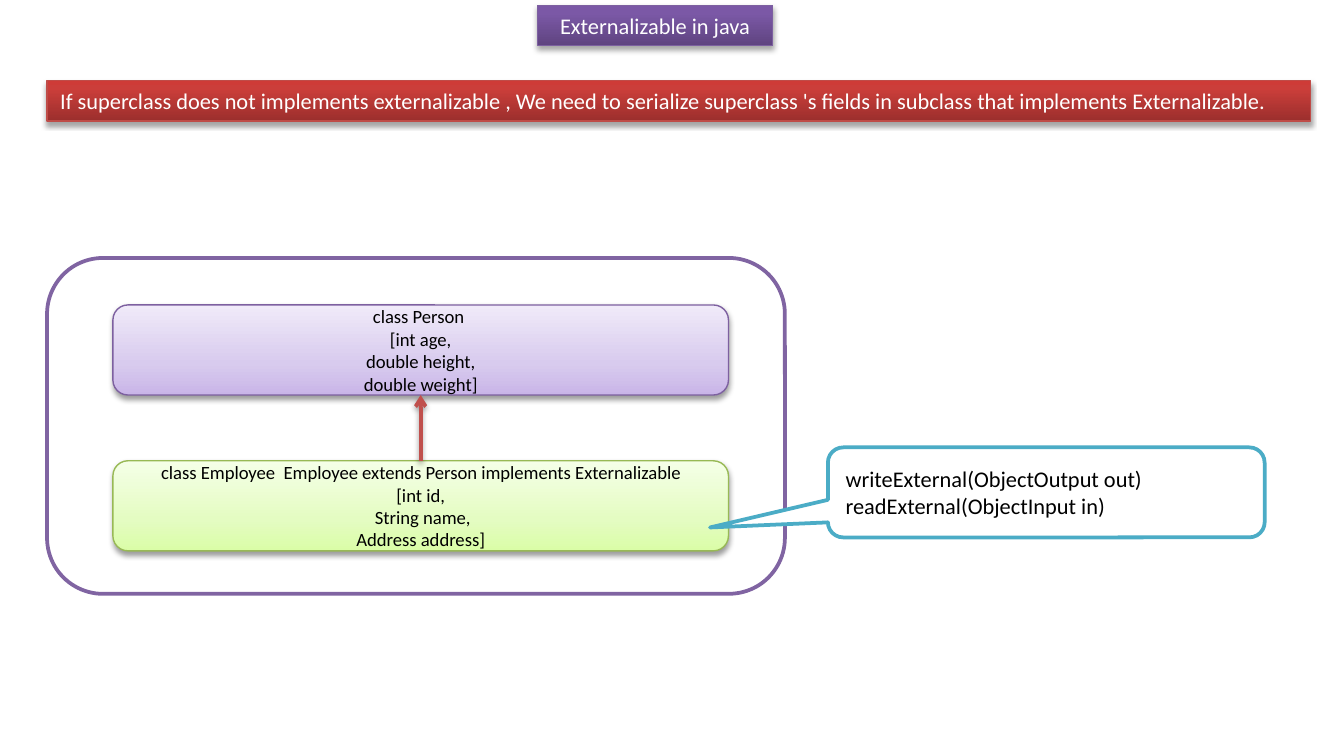
"""Build a slide on Externalizable when the superclass lacks it."""
from copy import deepcopy
from dataclasses import dataclass

from lxml.etree import SubElement as Sub
from pptx import Presentation
from pptx.dml.color import RGBColor as Color
from pptx.enum.shapes import MSO_CONNECTOR as Link, MSO_SHAPE as Kind
from pptx.enum.text import MSO_ANCHOR as Anchor, MSO_AUTO_SIZE as Fit, PP_ALIGN as Align
from pptx.oxml.ns import qn
from pptx.util import Inches, Pt


@dataclass(frozen=True)
class Theme:
    font: str = "Calibri"
    body: int = 12
    small: int = 10
    thin: float = 0.75
    thick: float = 2
    white: str = "FFFFFF"
    black: str = "000000"
    violet: str = "8064A2"
    red: str = "C0504D"
    aqua: str = "4BACC6"
    plum: str = "7D60A0"
    brick: str = "BF4C48"
    olive: str = "98B955"
    deep: tuple = ((0, "5F4480"), (0.8, "7B58A6"), (1, "7C57A8"))
    ruby: tuple = ((0, "9C2F2D"), (0.8, "CB3E3A"), (1, "CE3B37"))
    lime: tuple = ((0, "DAFDA7"), (0.35, "E4FCC2"), (1, "F5FFE7"))
    lilac: tuple = ((0, "C9B5E8"), (0.35, "D8CBEE"), (1, "F0EAF9"))


THEME = Theme()


def rgb(code):
    return Color.from_string(code)


def add_shade(effects, alpha, dist):
    shade = Sub(effects, qn("a:outerShdw"), blurRad=str(Pt(3.1)), dist=str(Pt(dist)),
                dir="5400000", rotWithShape="0")
    tone = Sub(shade, qn("a:srgbClr"), val=THEME.black)
    Sub(tone, qn("a:alpha"), val=str(alpha * 1000))


def set_blend(shape, stops):
    fill = shape.fill
    fill.gradient()
    fill.gradient_angle = 90
    items = shape._element.spPr.find(".//" + qn("a:gsLst"))
    items.append(deepcopy(items[-1]))
    for stop, (place, code) in zip(fill.gradient_stops, stops):
        stop.position = place
        stop.color.rgb = rgb(code)


def add_box(slide, kind, area, line, width):
    shape = slide.shapes.add_shape(kind, *map(Inches, area))
    shape.shadow.inherit = False
    shape.fill.solid()
    shape.fill.fore_color.rgb = rgb(THEME.white)
    shape.line.color.rgb = rgb(line)
    shape.line.width = Pt(width)
    return shape


def set_text(shape, text, size, ink, align=Align.LEFT):
    frame = shape.text_frame
    frame.word_wrap = True
    frame.vertical_anchor = Anchor.MIDDLE
    frame.text = text
    for para in frame.paragraphs:
        para.alignment = align
        para.font.name = THEME.font
        para.font.size = Pt(size)
        para.font.color.rgb = rgb(ink)


def add_banner(slide, area, text, stops, line, align):
    shape = add_box(slide, Kind.RECTANGLE, area, line, THEME.thin)
    set_blend(shape, stops)
    add_shade(shape._element.spPr.find(qn("a:effectLst")), 35, 1.8)
    set_text(shape, text, THEME.body, THEME.white, align)
    shape.text_frame.vertical_anchor = Anchor.TOP
    shape.text_frame.auto_size = Fit.SHAPE_TO_FIT_TEXT


def add_class(slide, top, text, stops, line):
    shape = add_box(slide, Kind.ROUNDED_RECTANGLE, (0.84, top, 4.58, 0.67), line, THEME.thin)
    set_blend(shape, stops)
    add_shade(shape._element.spPr.find(qn("a:effectLst")), 38, 1.6)
    set_text(shape, text, THEME.small, THEME.black, Align.CENTER)
    return shape


def add_arrow(slide, child, parent):
    arrow = slide.shapes.add_connector(Link.STRAIGHT, 0, 0, 0, 0)
    arrow.begin_connect(child, 0)
    arrow.end_connect(parent, 2)
    arrow.line.color.rgb = rgb(THEME.red)
    arrow.line.width = Pt(THEME.thick)
    Sub(arrow.line._get_or_add_ln(), qn("a:tailEnd"), type="arrow")
    add_shade(Sub(arrow._element.spPr, qn("a:effectLst")), 38, 1.6)


def add_callout(slide, area, text):
    shape = add_box(slide, Kind.ROUNDED_RECTANGULAR_CALLOUT, area, THEME.aqua, THEME.thick)
    for spot, value in enumerate((-0.77, 0.39, 0.17)):
        shape.adjustments[spot] = value
    set_text(shape, text, THEME.body, THEME.black)


def main():
    deck = Presentation()
    deck.slide_width, deck.slide_height = Inches(10), Inches(5.5)
    slide = deck.slides.add_slide(deck.slide_layouts[6])
    add_box(slide, Kind.ROUNDED_RECTANGLE, (0.35, 1.92, 5.49, 2.5), THEME.violet, THEME.thick)
    add_banner(slide, (4, 0.04, 1.75, 0.3), "Externalizable in java",
               THEME.deep, THEME.plum, Align.CENTER)
    add_banner(slide, (0.35, 0.6, 9.4, 0.3),
               "If superclass does not implements externalizable , We need to serialize "
               "superclass 's fields in subclass that implements Externalizable.",
               THEME.ruby, THEME.brick, Align.LEFT)
    child = add_class(slide, 3.43,
                      "class Employee  Employee extends Person implements Externalizable\n"
                      "[int id,\n String name,\nAddress address]", THEME.lime, THEME.olive)
    parent = add_class(slide, 2.27, "class Person \n[int age,\ndouble height,\ndouble weight]",
                       THEME.lilac, THEME.plum)
    add_arrow(slide, child, parent)
    add_callout(slide, (6.16, 3.33, 3.25, 0.67),
                "writeExternal(ObjectOutput out)\nreadExternal(ObjectInput in)")
    deck.save("out.pptx")


if __name__ == "__main__":
    main()
